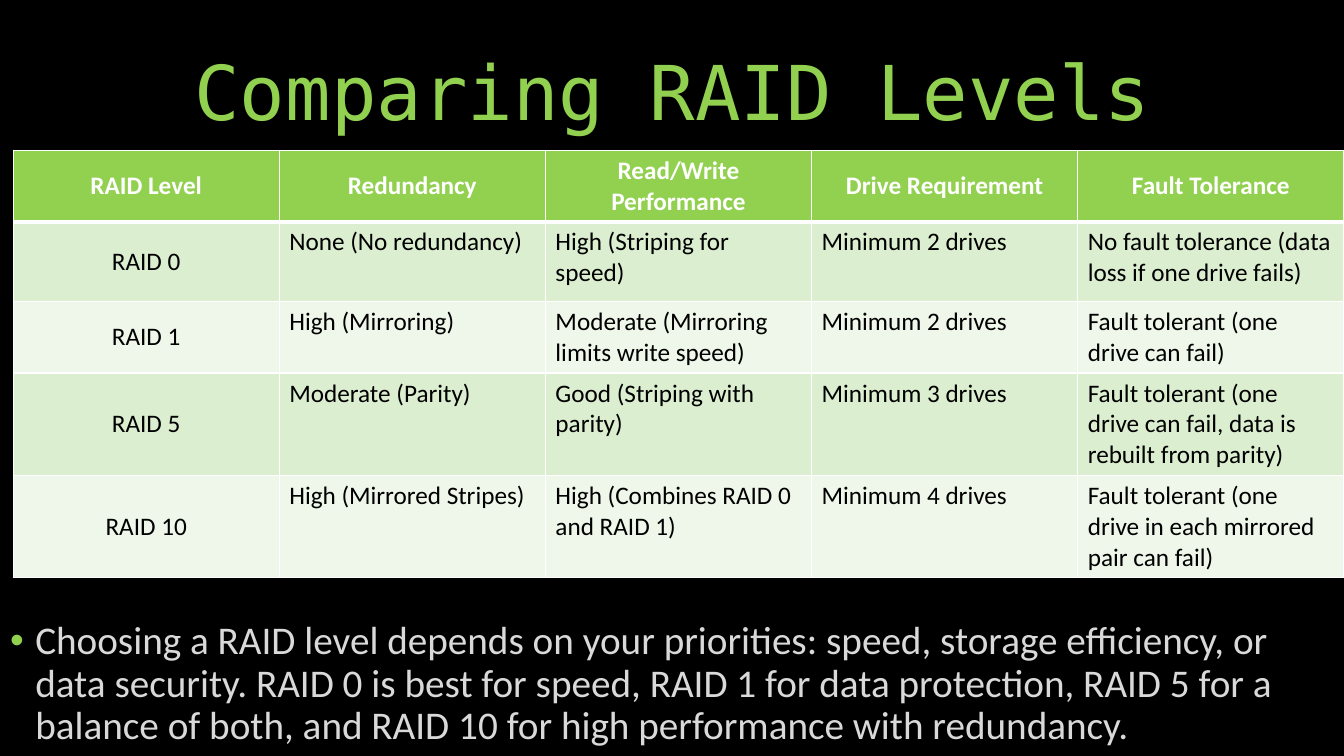
from lxml import etree
from pptx import Presentation
from pptx.dml.color import RGBColor
from pptx.enum.text import MSO_ANCHOR, MSO_AUTO_SIZE, PP_ALIGN
from pptx.oxml.ns import qn
from pptx.util import Inches, Pt

CENTER, LEFT = PP_ALIGN.CENTER, PP_ALIGN.LEFT
TOP, MIDDLE, BOTTOM = MSO_ANCHOR.TOP, MSO_ANCHOR.MIDDLE, MSO_ANCHOR.BOTTOM
NO_FIT = MSO_AUTO_SIZE.NONE

ROWS = [
    ["RAID Level", "Redundancy", "Read/Write Performance", "Drive Requirement", "Fault Tolerance"],
    ["RAID 0", "None (No redundancy)", "High (Striping for speed)", "Minimum 2 drives",
     "No fault tolerance (data loss if one drive fails)"],
    ["RAID 1", "High (Mirroring)", "Moderate (Mirroring limits write speed)", "Minimum 2 drives",
     "Fault tolerant (one drive can fail)"],
    ["RAID 5", "Moderate (Parity)", "Good (Striping with parity)", "Minimum 3 drives",
     "Fault tolerant (one drive can fail, data is rebuilt from parity)"],
    ["RAID 10", "High (Mirrored Stripes)", "High (Combines RAID 0 and RAID 1)", "Minimum 4 drives",
     "Fault tolerant (one drive in each mirrored pair can fail)"],
]
HEIGHTS = [0.47, 0.79, 0.66, 0.79, 0.79]
ADVICE = ("Choosing a RAID level depends on your priorities: speed, storage efficiency, or data security. "
          "RAID 0 is best for speed, RAID 1 for data protection, RAID 5 for a balance of both, "
          "and RAID 10 for high performance with redundancy.")


def color(code):
    return RGBColor.from_string(code)


class Deck:
    green, white, black, gray = "92D050", "FFFFFF", "000000", "D9D9D9"
    bands = ["EEF7E9", "DCEED0"]
    sans, mono = "Calibri", "DejaVu Sans Mono"

    def __init__(self, slide):
        self.slide = slide
        fill = slide.background.fill
        fill.solid()
        fill.fore_color.rgb = color(self.black)

    def label(self, frame, text, size, ink, face, align=LEFT, bold=False):
        frame.text = text
        para = frame.paragraphs[0]
        para.alignment = align
        font = para.runs[0].font
        font.size, font.name, font.bold = Pt(size), face, bold
        font.color.rgb = color(ink)
        return para

    def place(self, shape, box, anchor):
        shape.left, shape.top, shape.width, shape.height = map(Inches, box)
        frame = shape.text_frame
        frame.word_wrap = True
        frame.auto_size = NO_FIT
        frame.vertical_anchor = anchor
        return frame

    def title(self, text, box):
        frame = self.place(self.slide.shapes.title, box, BOTTOM)
        para = self.label(frame, text, 54, self.green, self.mono, CENTER)
        para.line_spacing = 0.9

    def body(self, text, box):
        frame = self.place(self.slide.placeholders[1], box, TOP)
        para = self.label(frame, text, 28, self.gray, self.sans)
        para.line_spacing = 0.9
        para.space_before = Pt(18)
        props = para._p.get_or_add_pPr()
        props.set("marL", str(Inches(0.25)))
        props.set("indent", str(Inches(-0.25)))
        tint = etree.SubElement(props, qn("a:buClr"))
        etree.SubElement(tint, qn("a:srgbClr"), val=self.green)
        etree.SubElement(props, qn("a:buFont"), typeface="Arial")
        etree.SubElement(props, qn("a:buChar"), char="•")

    def border(self, cell, widths):
        props = cell._tc.get_or_add_tcPr()
        for spot, (side, width) in enumerate(widths.items()):
            line = etree.Element(qn("a:ln" + side), w=str(Pt(width)))
            fill = etree.SubElement(line, qn("a:solidFill"))
            etree.SubElement(fill, qn("a:srgbClr"), val=self.white)
            props.insert(spot, line)

    def table(self, rows, heights, box):
        shape = self.slide.shapes.add_table(len(rows), len(rows[0]), *map(Inches, box))
        grid = shape.table
        for col in grid.columns:
            col.width = Inches(box[2] / len(rows[0]))
        for r, (row, height) in enumerate(zip(rows, heights)):
            grid.rows[r].height = Inches(height)
            head = r == 0
            for c, text in enumerate(row):
                cell = grid.cell(r, c)
                mid = head or c == 0
                cell.fill.solid()
                cell.fill.fore_color.rgb = color(self.green if head else self.bands[r % 2])
                cell.vertical_anchor = MIDDLE if mid else TOP
                self.label(cell.text_frame, text, 18, self.white if head else self.black,
                           self.sans, CENTER if mid else LEFT, head)
                self.border(cell, {"L": 1, "R": 1, "T": 3 if r == 1 else 1, "B": 3 if head else 1})


def main():
    show = Presentation()
    show.slide_width, show.slide_height = Inches(13.33), Inches(7.5)
    deck = Deck(show.slides.add_slide(show.slide_layouts[1]))
    deck.title("Comparing RAID Levels", (1.67, 0.16, 10, 1.25))
    deck.body(ADVICE, (0, 6.11, 13.33, 1.38))
    deck.table(ROWS, HEIGHTS, (0.13, 1.49, 13.2, sum(HEIGHTS)))
    show.save("out.pptx")


if __name__ == "__main__":
    main()
